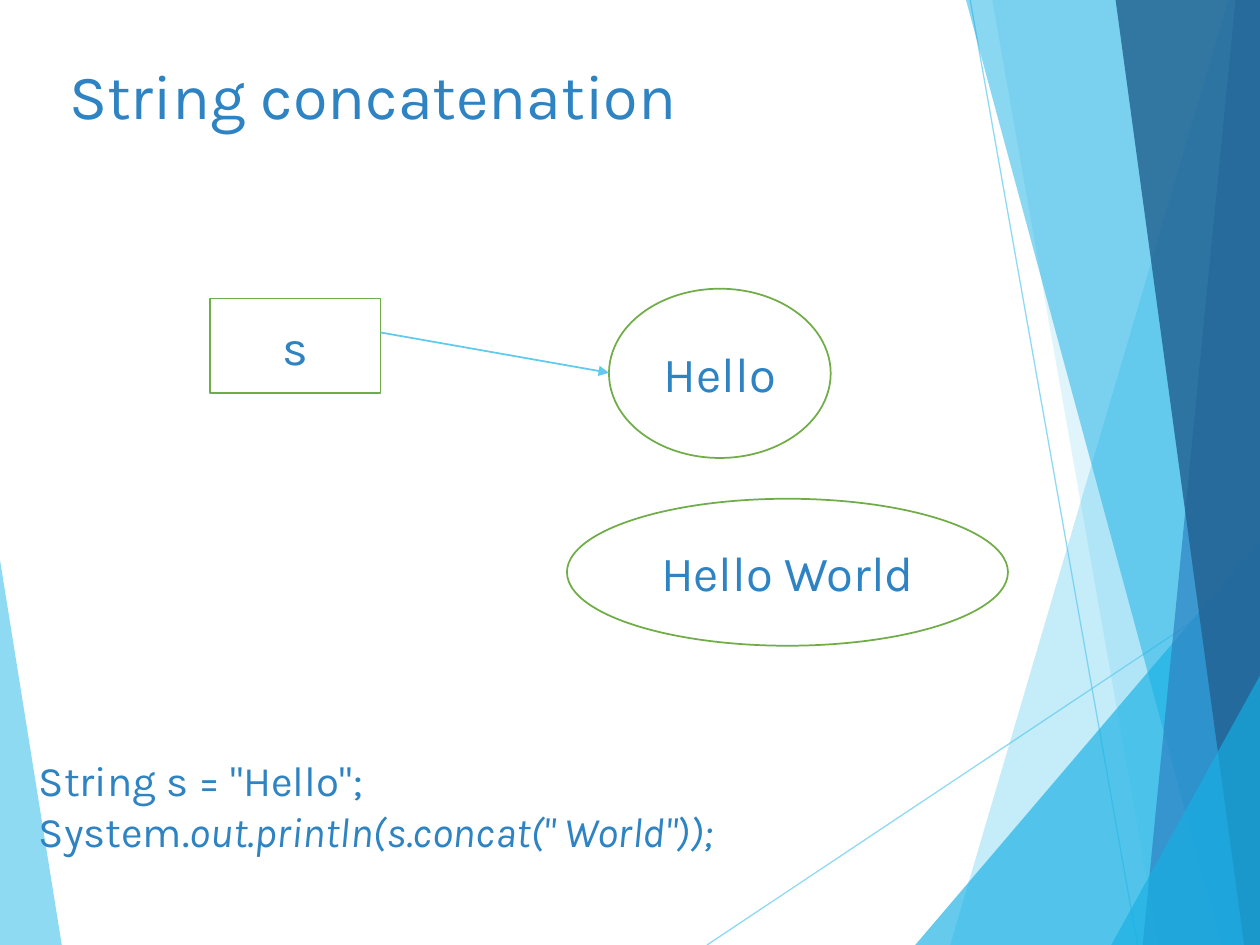
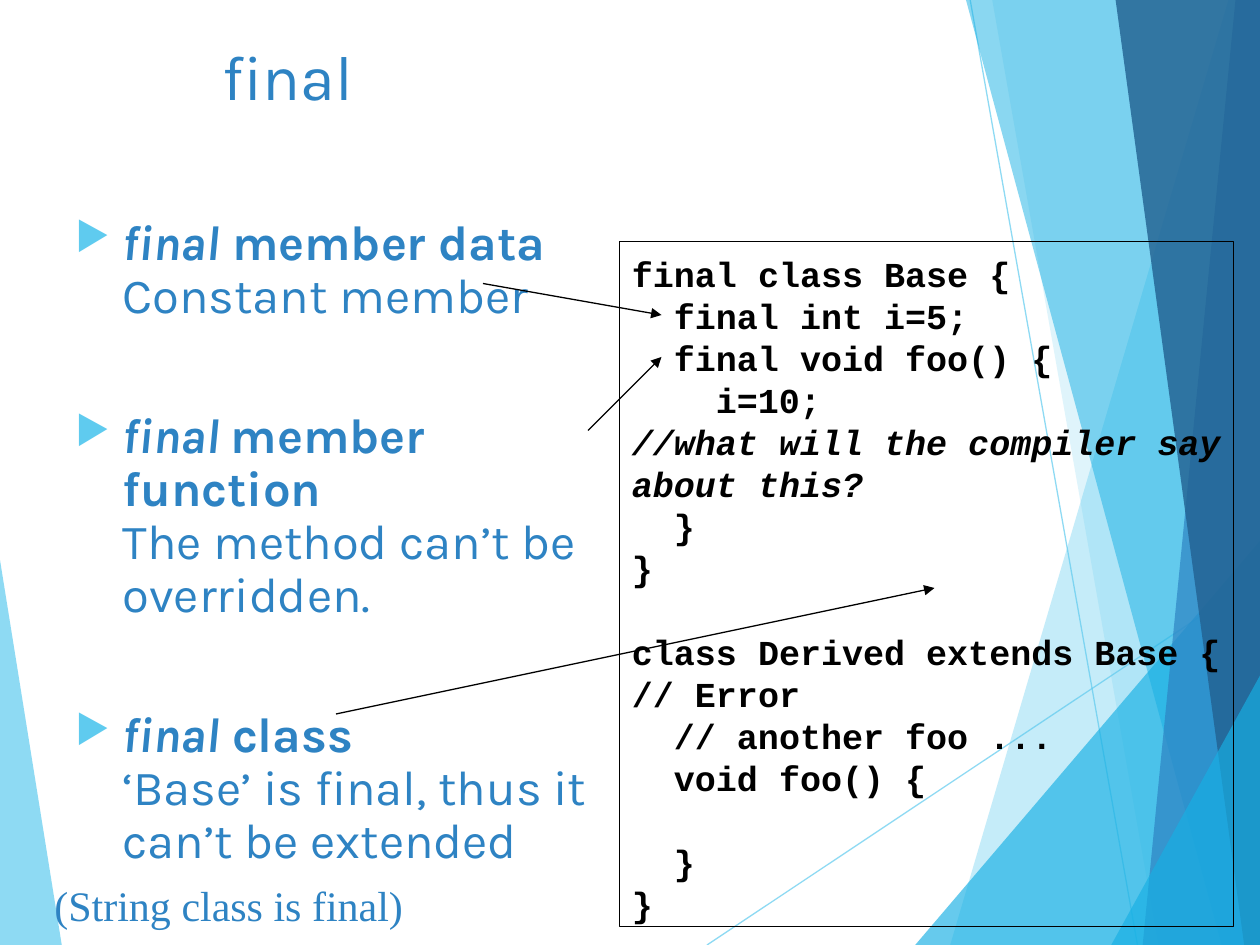
from lxml.etree import SubElement
from pptx import Presentation
from pptx.dml.color import RGBColor
from pptx.enum.shapes import MSO_CONNECTOR as Connector, MSO_SHAPE as Preset
from pptx.enum.text import MSO_ANCHOR as Anchor, PP_ALIGN as Align
from pptx.oxml.ns import qn
from pptx.util import Pt

WIDTH, HEIGHT = 720, 540
COLOURS = {"sky": "5FCBEF", "cyan": "17B0E4", "blue": "2E83C3", "navy": "236292",
           "green": "70AD47", "white": "FFFFFF", "black": "000000"}

# Shared text formats
TITLE = {"name": "Karla", "size": 36, "colour": "blue"}
LABEL = {"name": "Karla", "size": 28, "colour": "blue"}
SNIPPET = {"name": "Karla", "size": 24, "colour": "blue"}
REMARK = {"name": "Times New Roman", "size": 24, "colour": "blue"}
CODE = {"name": "Courier New", "size": 20, "colour": "black", "bold": True}
BOLD, ITALIC = {"bold": True}, {"italic": True}

# Shared decoration, back to front: corner points, colour, opacity in percent
TOP_RIGHT, BOTTOM_RIGHT = (WIDTH, 0), (WIDTH, HEIGHT)
LEFT_BLADE = ([(0, 320), (35.3, HEIGHT), (0, HEIGHT)], "sky", 70)
RIGHT_BLADES = [
    ([(702, 0), (543, HEIGHT), BOTTOM_RIGHT, TOP_RIGHT], "sky", 36),
    ([(567, 0), (662, HEIGHT), BOTTOM_RIGHT, TOP_RIGHT], "sky", 20),
    ([(523, HEIGHT), (WIDTH, 309), BOTTOM_RIGHT], "cyan", 66),
    ([(552, 0), (698, HEIGHT), BOTTOM_RIGHT, TOP_RIGHT], "cyan", 50),
    ([(706, 0), (653, HEIGHT), BOTTOM_RIGHT, TOP_RIGHT], "blue", 70),
    ([(637.5, 0), (711, HEIGHT), BOTTOM_RIGHT, TOP_RIGHT], "navy", 82),
    ([(635, HEIGHT), (WIDTH, 386), BOTTOM_RIGHT], "cyan", 66),
]
HAIRLINES = [((404, HEIGHT), (WIDTH, 329.5)), ((554.4, 0), (650, HEIGHT))]

# Slide 1: objects as (preset, box, label)
CONCATENATION = {
    "title": ("String concatenation", (32.4, 28.8, 500, 104)),
    "objects": [
        (Preset.OVAL, (348, 165, 126.7, 96.7), "Hello"),
        (Preset.RECTANGLE, (120, 170.5, 97.5, 54), "s"),
        (Preset.OVAL, (324, 285, 252, 84), "Hello World"),
    ],
    "arrow": ((217.5, 190), (348, 213)),
    "snippet": [
        [('String s = "Hello";', {})],
        [("System.", {}), ('out.println(s.concat(" World"));', ITALIC)],
    ],
    "snippet_box": (15, 427.7, 425, 65),
}

# Slide 2: code lines as (indent level, blank lines before, text, format)
FINAL = {
    "title": ("final", (120, 18, 492, 54)),
    "bullets": [
        ("final", " member data\n", "Constant member"),
        ("final ", "member function \n", "The method can’t be \noverridden."),
        ("final", " class\n", "‘Base’ is final, thus it can’t be extended"),
    ],
    "bullets_box": (36, 121, 330, 389),
    "code": [
        (0, 0, "final class Base {", {}),
        (1, 0, "final int i=5;", {}),
        (1, 0, "final void foo() {", {}),
        (2, 0, "i=10;", {}),
        (0, 0, "//what will the compiler say about this?", ITALIC),
        (1, 0, "}", {}),
        (0, 0, "}", {}),
        (0, 1, "class Derived extends Base { // Error", {}),
        (1, 0, "// another foo ...", {}),
        (1, 0, "void foo() {", {}),
        (1, 1, "}", {}),
        (0, 0, "}", {}),
    ],
    "code_box": (354, 138, 351, 391.5),
    "arrows": [((276, 162), (378, 180)), ((336, 246), (378, 204)),
               ((192, 408), (534, 336))],
    "remark": ("(String class is final)", (24, 499, 318, 36)),
}
CODE_LINE, CODE_INDENT = 24, 24
BULLET_INDENT, BULLET_GAP = 27, 50


def rgb(name):
    return RGBColor.from_string(COLOURS[name])


def points(values):
    return [Pt(value) for value in values]


def set_opacity(colour_parent, percent):
    colour = next(colour_parent.iter(qn("a:srgbClr")))
    SubElement(colour, qn("a:alpha"), val=str(percent * 1000))


def add_runs(paragraph, runs, base):
    """Fill a paragraph from (text, format) pairs; a newline is a line break."""
    for text, extra in runs:
        for index, part in enumerate(text.split("\n")):
            if index:
                paragraph.add_line_break()
            if not part:
                continue
            run = paragraph.add_run()
            run.text = part
            for key, value in {**base, **extra}.items():
                if key == "colour":
                    run.font.color.rgb = rgb(value)
                else:
                    setattr(run.font, key, Pt(value) if key == "size" else value)


def fill_frame(frame, paragraphs, base):
    """Write one paragraph per list of runs and return the paragraphs."""
    frame.word_wrap = True
    for index, runs in enumerate(paragraphs):
        paragraph = frame.add_paragraph() if index else frame.paragraphs[0]
        add_runs(paragraph, runs, base)
    return frame.paragraphs


def add_text(slide, box, paragraphs, base):
    frame = slide.shapes.add_textbox(*points(box)).text_frame
    return fill_frame(frame, paragraphs, base)


def add_box(slide, preset, box, fill, line, weight):
    shape = slide.shapes.add_shape(preset, *points(box))
    shape.shadow.inherit = False
    if fill:
        shape.fill.solid()
        shape.fill.fore_color.rgb = rgb(fill)
    else:
        shape.fill.background()
    shape.line.color.rgb = rgb(line)
    shape.line.width = Pt(weight)
    return shape


def add_line(slide, start, end, colour, weight, opacity=100, arrow=False):
    connector = slide.shapes.add_connector(Connector.STRAIGHT, *points(start + end))
    connector.line.color.rgb = rgb(colour)
    connector.line.width = Pt(weight)
    properties = connector._element.spPr
    set_opacity(properties, opacity)
    if arrow:
        SubElement(connector.line._get_or_add_ln(), qn("a:tailEnd"), type="triangle")
    SubElement(properties, qn("a:effectLst"))


def add_blade(slide, corners, colour, opacity):
    first, *rest = [points(corner) for corner in corners]
    builder = slide.shapes.build_freeform(*first)
    builder.add_line_segments(rest, close=True)
    blade = builder.convert_to_shape()
    blade.shadow.inherit = False
    blade.fill.solid()
    blade.fill.fore_color.rgb = rgb(colour)
    blade.line.fill.background()
    set_opacity(blade._element.spPr, opacity)


def add_bullet(paragraph):
    properties = paragraph._p.get_or_add_pPr()
    properties.set("marL", str(Pt(BULLET_INDENT)))
    properties.set("indent", str(-Pt(BULLET_INDENT)))
    colour = SubElement(properties, qn("a:buClr"))
    SubElement(colour, qn("a:srgbClr"), val=COLOURS["sky"])
    SubElement(properties, qn("a:buSzPct"), val="80000")
    SubElement(properties, qn("a:buChar"), char="▶")


def add_base_slide(presentation, title, box):
    """Start a slide with the shared decoration and its title."""
    slide = presentation.slides.add_slide(presentation.slide_layouts[6])
    add_blade(slide, *LEFT_BLADE)
    for start, end in HAIRLINES:
        add_line(slide, start, end, "sky", 0.75, opacity=70)
    for blade in RIGHT_BLADES:
        add_blade(slide, *blade)
    add_text(slide, box, [[(title, {})]], TITLE)
    return slide


def build_concatenation(presentation):
    slide = add_base_slide(presentation, *CONCATENATION["title"])
    for preset, box, label in CONCATENATION["objects"]:
        shape = add_box(slide, preset, box, "white", "green", 1)
        shape.text_frame.vertical_anchor = Anchor.MIDDLE
        fill_frame(shape.text_frame, [[(label, {})]], LABEL)[0].alignment = Align.CENTER
    add_line(slide, *CONCATENATION["arrow"], "sky", 1, arrow=True)
    add_text(slide, CONCATENATION["snippet_box"], CONCATENATION["snippet"], SNIPPET)


def build_final(presentation):
    slide = add_base_slide(presentation, *FINAL["title"])

    # Bulleted uses of the keyword
    bullets = [[(keyword, {**BOLD, **ITALIC}), (use, BOLD), (meaning, {})]
               for keyword, use, meaning in FINAL["bullets"]]
    for index, paragraph in enumerate(add_text(slide, FINAL["bullets_box"], bullets, LABEL)):
        paragraph.line_spacing = 0.9
        paragraph.space_before = Pt(BULLET_GAP if index else 0)
        add_bullet(paragraph)

    # Code listing
    frame = add_box(slide, Preset.RECTANGLE, FINAL["code_box"], None, "black", 0.75).text_frame
    frame.vertical_anchor = Anchor.TOP
    frame.margin_top = Pt(6)
    lines = [[(text, style)] for _, _, text, style in FINAL["code"]]
    for paragraph, (level, blanks, _, _) in zip(fill_frame(frame, lines, CODE), FINAL["code"]):
        paragraph.alignment = Align.LEFT
        paragraph.line_spacing = Pt(CODE_LINE)
        paragraph.space_before = Pt(blanks * CODE_LINE)
        paragraph._p.get_or_add_pPr().set("marL", str(Pt(level * CODE_INDENT)))

    # Arrows from the bullets to the code, and the closing remark
    for start, end in FINAL["arrows"]:
        add_line(slide, start, end, "black", 0.75, arrow=True)
    remark, box = FINAL["remark"]
    add_text(slide, box, [[(remark, {})]], REMARK)


def main():
    presentation = Presentation()
    presentation.slide_width, presentation.slide_height = Pt(WIDTH), Pt(HEIGHT)
    build_concatenation(presentation)
    build_final(presentation)
    presentation.save("out.pptx")


if __name__ == "__main__":
    main()
